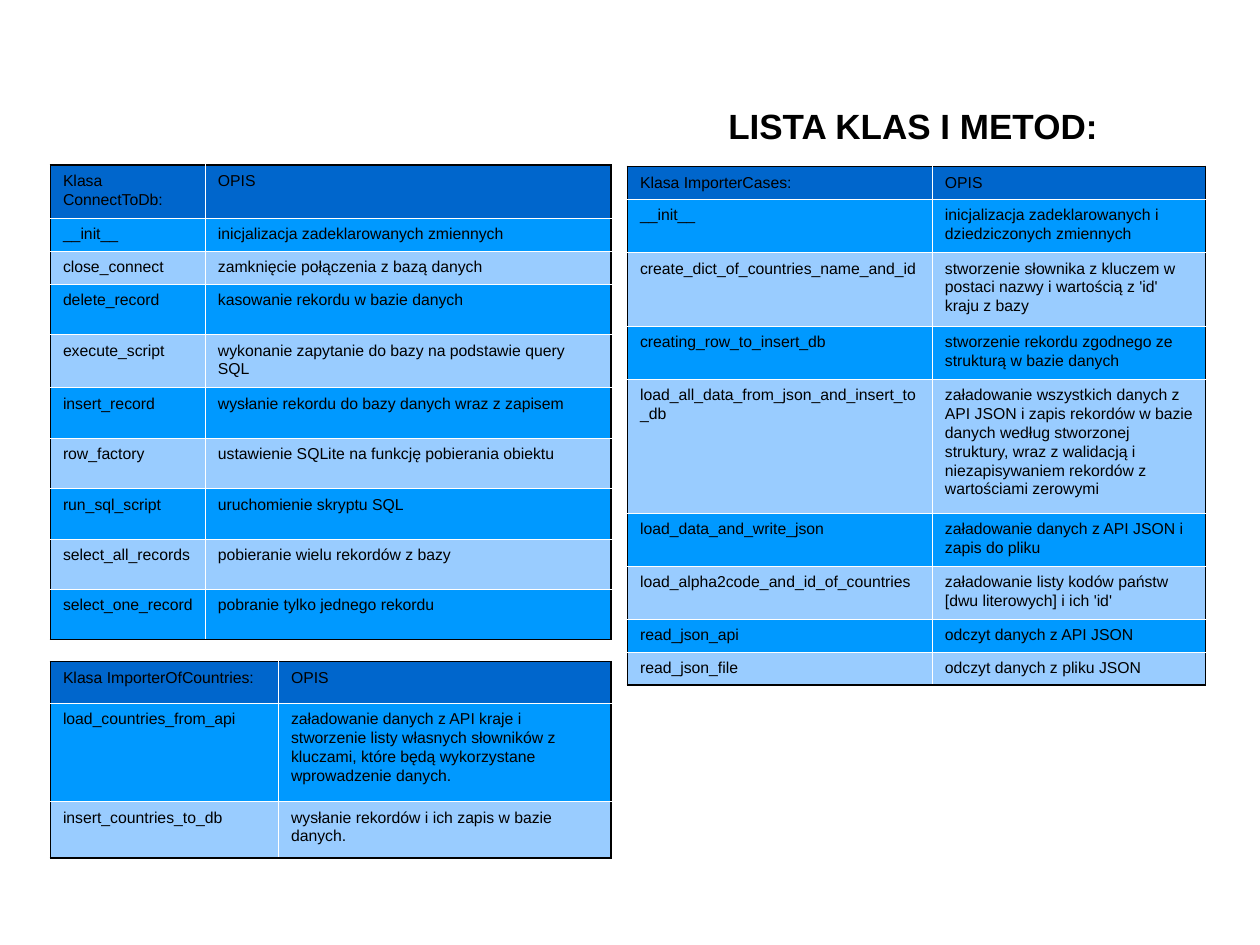
from dataclasses import dataclass

from lxml import etree
from pptx import Presentation
from pptx.dml.color import RGBColor
from pptx.enum.text import MSO_ANCHOR
from pptx.oxml.ns import qn
from pptx.slide import Slide
from pptx.util import Pt

EMU_PER_PX = 9144
MIDDLE = MSO_ANCHOR.MIDDLE
BLACK = RGBColor(0x00, 0x00, 0x00)
WHITE = RGBColor(0xFF, 0xFF, 0xFF)
HEADER_BLUE = RGBColor(0x00, 0x66, 0xCC)
BRIGHT_BLUE = RGBColor(0x00, 0x99, 0xFF)
PALE_BLUE = RGBColor(0x99, 0xCC, 0xFF)
OUTER_LINE = (BLACK, Pt(1))
INNER_LINE = (WHITE, Pt(0.06))

TITLE_FORMAT = {"name": "Arial", "size": Pt(20), "bold": True}
CELL_FORMAT = {"name": "Arial", "size": Pt(9), "bold": False}
TITLE_FRAME = {
    "margin_left": 0, "margin_right": 0, "margin_top": 0, "margin_bottom": 0,
    "vertical_anchor": MIDDLE, "word_wrap": True,
}

CONNECT_TO_DB = [
    ("Klasa ConnectToDb:", "OPIS"),
    ("__init__", "inicjalizacja zadeklarowanych zmiennych"),
    ("close_connect", "zamknięcie połączenia z bazą danych"),
    ("delete_record", "kasowanie rekordu w bazie danych"),
    ("execute_script", "wykonanie zapytanie do bazy na podstawie query SQL"),
    ("insert_record", "wysłanie rekordu do bazy danych wraz z zapisem"),
    ("row_factory", "ustawienie SQLite na funkcję pobierania obiektu"),
    ("run_sql_script", "uruchomienie skryptu SQL"),
    ("select_all_records", "pobieranie wielu rekordów z bazy"),
    ("select_one_record", "pobranie tylko jednego rekordu"),
]
IMPORTER_OF_COUNTRIES = [
    ("Klasa ImporterOfCountries:", "OPIS"),
    ("load_countries_from_api",
     "załadowanie danych z API kraje i stworzenie listy własnych słowników "
     "z kluczami, które będą wykorzystane wprowadzenie danych."),
    ("insert_countries_to_db", "wysłanie rekordów i ich zapis w bazie danych."),
]
IMPORTER_CASES = [
    ("Klasa ImporterCases:", "OPIS"),
    ("__init__", "inicjalizacja zadeklarowanych i dziedziczonych zmiennych"),
    ("create_dict_of_countries_name_and_id",
     "stworzenie słownika z kluczem w postaci nazwy i wartością z 'id' kraju z bazy"),
    ("creating_row_to_insert_db",
     "stworzenie rekordu zgodnego ze strukturą w bazie danych"),
    ("load_all_data_from_json_and_insert_to_db",
     "załadowanie wszystkich danych z API JSON i zapis rekordów w bazie danych "
     "według stworzonej struktury, wraz z walidacją i niezapisywaniem rekordów "
     "z wartościami zerowymi"),
    ("load_data_and_write_json", "załadowanie danych z API JSON i zapis do pliku"),
    ("load_alpha2code_and_id_of_countries",
     "załadowanie listy kodów państw [dwu literowych] i ich 'id'"),
    ("read_json_api", "odczyt danych z API JSON"),
    ("read_json_file", "odczyt danych z pliku JSON"),
]


def px(length):
    return length * EMU_PER_PX


def apply_format(target, values):
    for key, value in values.items():
        setattr(target, key, value)


@dataclass
class ClassListSlide:
    slide: Slide
    title_format: dict
    cell_format: dict
    line_spacing: float = 1.07

    def fill_text(self, frame, text, font_format):
        paragraph = frame.paragraphs[0]
        run = paragraph.add_run()
        run.text = text
        apply_format(run.font, font_format)
        run.font.color.rgb = BLACK
        return paragraph

    def title(self, text, left, top, width, height):
        box = self.slide.shapes.add_textbox(px(left), px(top), px(width), px(height))
        apply_format(box.text_frame, TITLE_FRAME)
        self.fill_text(box.text_frame, text, self.title_format)

    def borders(self, cell, outer_sides):
        properties = cell._tc.get_or_add_tcPr()
        for position, side in enumerate(("L", "R", "T", "B")):
            color, width = OUTER_LINE if side in outer_sides else INNER_LINE
            line = etree.Element(qn(f"a:ln{side}"), w=str(int(width)))
            fill = etree.SubElement(line, qn("a:solidFill"))
            etree.SubElement(fill, qn("a:srgbClr"), val=str(color))
            properties.insert(position, line)

    def table(self, entries, left, top, column_widths, row_heights):
        table = self.slide.shapes.add_table(
            len(entries), len(column_widths), px(left), px(top),
            px(sum(column_widths)), px(sum(row_heights)),
        ).table
        apply_format(table, {"first_row": False, "horz_banding": False})
        for column, width in zip(table.columns, column_widths):
            column.width = px(width)
        for row, height in zip(table.rows, row_heights):
            row.height = px(height)
        last_row = len(entries) - 1
        for row_index, entry in enumerate(entries):
            band = BRIGHT_BLUE if row_index % 2 else PALE_BLUE
            for column_index, text in enumerate(entry):
                cell = table.cell(row_index, column_index)
                cell.fill.solid()
                cell.fill.fore_color.rgb = band if row_index else HEADER_BLUE
                paragraph = self.fill_text(cell.text_frame, text, self.cell_format)
                paragraph.line_spacing = self.line_spacing
                outer_sides = "R" if column_index else "L"
                if row_index == 0:
                    outer_sides += "T"
                if row_index == last_row:
                    outer_sides += "B"
                self.borders(cell, outer_sides)


def main():
    presentation = Presentation()
    presentation.slide_width = px(1000)
    presentation.slide_height = px(750)
    blank = presentation.slide_layouts[6]
    page = ClassListSlide(presentation.slides.add_slide(blank), TITLE_FORMAT, CELL_FORMAT)
    page.title("LISTA KLAS I METOD:", 578, 50, 409, 99)
    page.table(CONNECT_TO_DB, 40, 131, [123, 322], [40, 25, 25] + [40] * 7)
    page.table(IMPORTER_OF_COUNTRIES, 40, 525, [181, 264], [33, 78, 45])
    page.table(IMPORTER_CASES, 498, 132, [242, 217],
               [25, 40, 56, 40, 102, 40, 40, 25, 25])
    presentation.save("out.pptx")


if __name__ == "__main__":
    main()
